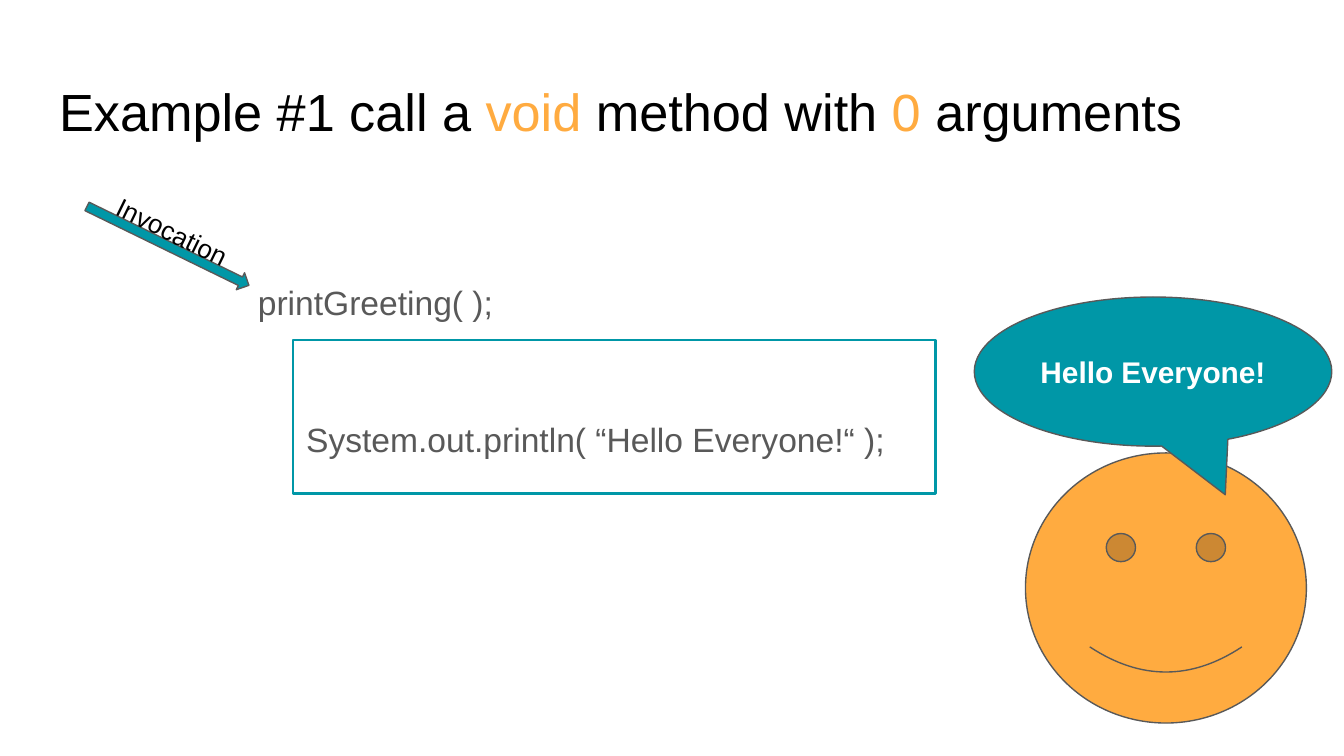
from pptx import Presentation
from pptx import util as u
from pptx.dml.color import RGBColor
from pptx.enum import shapes, text

WIDE = u.Inches(10)
TALL = WIDE * 9 // 16
TEAL, ORANGE, GREY, BLACK, WHITE = "0097A7", "FFAB40", "595959", "000000", "FFFFFF"
KIND = shapes.MSO_SHAPE
TOP, MID, LOW = text.MSO_ANCHOR.TOP, text.MSO_ANCHOR.MIDDLE, text.MSO_ANCHOR.BOTTOM
LEFT, MIDDLE = text.PP_ALIGN.LEFT, text.PP_ALIGN.CENTER


def color(code):
    return RGBColor.from_string(code)


def place(box):
    return [u.Inches(n) for n in box]


def write(shape, runs, size, align=LEFT, anchor=TOP, pad=0.1, low=0.1,
          bold=False, wrap=True, space=1.0):
    """Fill a shape with one paragraph of (words, colour) runs."""
    frame = shape.text_frame
    frame.word_wrap = wrap
    frame.auto_size = text.MSO_AUTO_SIZE.NONE
    frame.vertical_anchor = anchor
    frame.margin_left = frame.margin_right = frame.margin_top = u.Inches(pad)
    frame.margin_bottom = u.Inches(low)
    para = frame.paragraphs[0]
    para.alignment = align
    para.line_spacing = space
    para.font.name, para.font.size, para.font.bold = "Arial", u.Pt(size), bold
    for words, hue in runs:
        run = para.add_run()
        run.text = words
        run.font.color.rgb = color(hue)


def draw(slide, kind, box, fill=None, line=GREY, width=0.75, adjust=(), turn=0):
    """Add a flat preset shape."""
    shape = slide.shapes.add_shape(kind, *place(box))
    shape.shadow.inherit = False
    shape.rotation = turn
    if fill:
        shape.fill.solid()
        shape.fill.fore_color.rgb = color(fill)
    else:
        shape.fill.background()
    shape.line.color.rgb = color(line)
    shape.line.width = u.Pt(width)
    for i, value in enumerate(adjust):
        shape.adjustments[i] = value
    return shape


def main():
    deck = Presentation()
    deck.slide_width, deck.slide_height = WIDE, TALL
    slide = deck.slides.add_slide(deck.slide_layouts[5])

    # Title
    title = slide.shapes.title
    title.left, title.top, title.width, title.height = place((0.34, 0.49, 9.45, 0.63))
    write(title, [("Example #1 call a ", BLACK), ("void", ORANGE),
                  (" method with ", BLACK), ("0", ORANGE),
                  (" arguments", BLACK)], 28)

    # Method call
    call = slide.shapes.add_textbox(*place((1.82, 1.95, 5.52, 2.13)))
    write(call, [("printGreeting( );", GREY)], 18, space=1.15)

    # Arrow with its label resting on the shaft
    arrow = draw(slide, KIND.RIGHT_ARROW, (0.58, 1.76, 1.34, 0.14), TEAL,
                 adjust=(0.5, 0.5), turn=26)
    write(arrow, [("Invocation", BLACK)], 14, MIDDLE, LOW, pad=0, low=0.03, wrap=False)

    # Speaker and speech bubble
    draw(slide, KIND.SMILEY_FACE, (7.63, 3.37, 2.09, 2.01), ORANGE, adjust=(0.047,))
    bubble = draw(slide, KIND.OVAL_CALLOUT, (7.25, 2.21, 2.66, 1.11), TEAL,
                  adjust=(0.202, 0.826))
    write(bubble, [("Hello Everyone!", WHITE)], 16, MIDDLE, MID, bold=True)

    # Method body
    body = draw(slide, KIND.RECTANGLE, (2.18, 2.53, 4.78, 1.14), line=TEAL, width=1.5)
    write(body, [("System.out.println( “Hello Everyone!“ );", GREY)], 18,
          anchor=LOW, low=0.25, space=1.15)

    deck.save("out.pptx")


if __name__ == "__main__":
    main()
